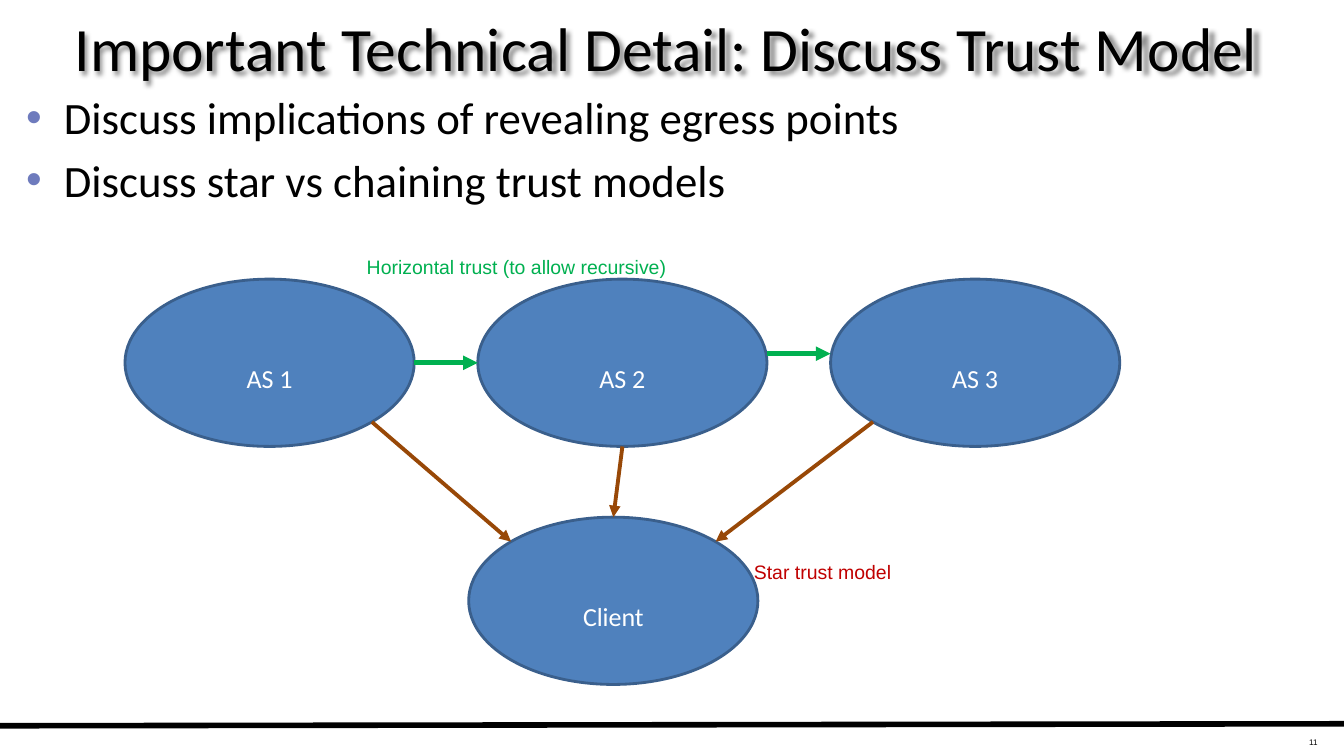
from math import sqrt

from lxml.etree import SubElement
from pptx import Presentation
from pptx.dml.color import RGBColor
from pptx.enum.shapes import MSO_CONNECTOR, MSO_SHAPE
from pptx.enum.text import MSO_ANCHOR, PP_ALIGN
from pptx.oxml.ns import qn
from pptx.util import Pt

COLORS = {
    "text": "000000",
    "white": "FFFFFF",
    "bullet": "6E7BBD",
    "node": "4F81BD",
    "node_line": "3A5F8C",
    "horizontal": "00B050",
    "star": "984807",
    "star_label": "C00000",
}
NODE_W, NODE_H = 206.6, 119.5
AS_LEFT, AS_TOP, AS_PITCH = 89.3, 199.4, 252
DIAGONAL = sqrt(0.5)


def rgb(name):
    return RGBColor.from_string(COLORS[name])


def add_run(p, text, size, color="text", font="Calibri", lowered=False):
    r = p.add_run()
    r.text = text
    r.font.size = Pt(size)
    r.font.name = font
    r.font.color.rgb = rgb(color)
    if lowered:
        r.font._element.set("baseline", "-25000")


def add_text(s, text, box, align=PP_ALIGN.LEFT, anchor=MSO_ANCHOR.TOP, **fmt):
    sp = s.shapes.add_textbox(*map(Pt, box))
    tf = sp.text_frame
    tf.word_wrap = True
    tf.vertical_anchor = anchor
    p = tf.paragraphs[0]
    p.alignment = align
    add_run(p, text, **fmt)
    return sp


def add_text_shadow(sp):
    effects = SubElement(sp._element.spPr, qn("a:effectLst"))
    shadow = SubElement(effects, qn("a:outerShdw"), blurRad="38100",
                        dist="38100", dir="2700000", algn="tl")
    color = SubElement(shadow, qn("a:srgbClr"), val=COLORS["text"])
    SubElement(color, qn("a:alpha"), val="43000")


def add_bullets(s, items, box, size):
    tf = s.shapes.add_textbox(*map(Pt, box)).text_frame
    tf.word_wrap = True
    for i, item in enumerate(items):
        p = tf.add_paragraph() if i else tf.paragraphs[0]
        p.space_before = Pt(size * 0.2)
        pPr = p._p.get_or_add_pPr()
        pPr.set("marL", str(Pt(27)))
        pPr.set("indent", str(-Pt(27)))
        color = SubElement(pPr, qn("a:buClr"))
        SubElement(color, qn("a:srgbClr"), val=COLORS["bullet"])
        SubElement(pPr, qn("a:buFont"), typeface="Arial")
        SubElement(pPr, qn("a:buChar"), char="•")
        add_run(p, item, size)


def add_node(s, text, left, top):
    sp = s.shapes.add_shape(MSO_SHAPE.OVAL, Pt(left), Pt(top), Pt(NODE_W), Pt(NODE_H))
    sp.shadow.inherit = False
    sp.fill.solid()
    sp.fill.fore_color.rgb = rgb("node")
    sp.line.color.rgb = rgb("node_line")
    sp.line.width = Pt(2)
    tf = sp.text_frame
    tf.vertical_anchor = MSO_ANCHOR.MIDDLE
    p = tf.paragraphs[0]
    p.alignment = PP_ALIGN.CENTER
    add_run(p, text, 32, color="white", lowered=True)
    return left, top


def rim(node, dx, dy, shift=0):
    """Point on a node's rim in direction (dx, dy), moved down by shift."""
    left, top = node
    return left + NODE_W / 2 * (1 + dx), top + NODE_H / 2 * (1 + dy) + shift


def add_line(s, start, end, color, width, arrow=True):
    line = s.shapes.add_connector(MSO_CONNECTOR.STRAIGHT, *map(Pt, start + end))
    line.line.color.rgb = rgb(color)
    line.line.width = Pt(width)
    if arrow:
        SubElement(line.line._get_or_add_ln(), qn("a:tailEnd"), type="triangle")
    SubElement(line._element.spPr, qn("a:effectLst"))


def main():
    prs = Presentation()
    prs.slide_width, prs.slide_height = Pt(960), Pt(540)
    s = prs.slides.add_slide(prs.slide_layouts[6])

    add_line(s, (0, 518.4), (960, 517), "text", 4, arrow=False)
    add_text(s, "11", (748, 516.2, 200.2, 23.8), align=PP_ALIGN.RIGHT,
             size=10, font="Arial", lowered=True)
    title = add_text(s, "Important Technical Detail: Discuss Trust Model",
                     (26.6, 6.5, 899.3, 54), align=PP_ALIGN.CENTER,
                     anchor=MSO_ANCHOR.MIDDLE, size=44)
    add_text_shadow(title)
    add_bullets(s, ["Discuss implications of revealing egress points",
                    "Discuss star vs chaining trust models"],
                (11.5, 60.5, 929.5, 419.8), 32)

    as1, as2, as3 = [add_node(s, f"AS {i + 1}", AS_LEFT + AS_PITCH * i, AS_TOP)
                     for i in range(3)]
    client = add_node(s, "Client", 334.8, 369.4)

    for source, target, shift in [(as1, as2, 0), (as2, as3, -6.5)]:
        add_line(s, rim(source, 1, 0, shift), rim(target, -1, 0, shift),
                 "horizontal", 3.5)
    for source, dx, dy in [(as1, DIAGONAL, DIAGONAL), (as2, 0, 1),
                           (as3, -DIAGONAL, DIAGONAL)]:
        add_line(s, rim(source, dx, dy), rim(client, -dx, -dy), "star", 2.75)

    for text, box, color in [
        ("Horizontal trust (to allow recursive)", (254.9, 162.7, 388, 36), "horizontal"),
        ("Star trust model", (531.4, 380.2, 185.8, 36), "star_label"),
    ]:
        add_text(s, text, box, size=24, font="Arial", color=color, lowered=True)

    prs.save("out.pptx")


if __name__ == "__main__":
    main()
